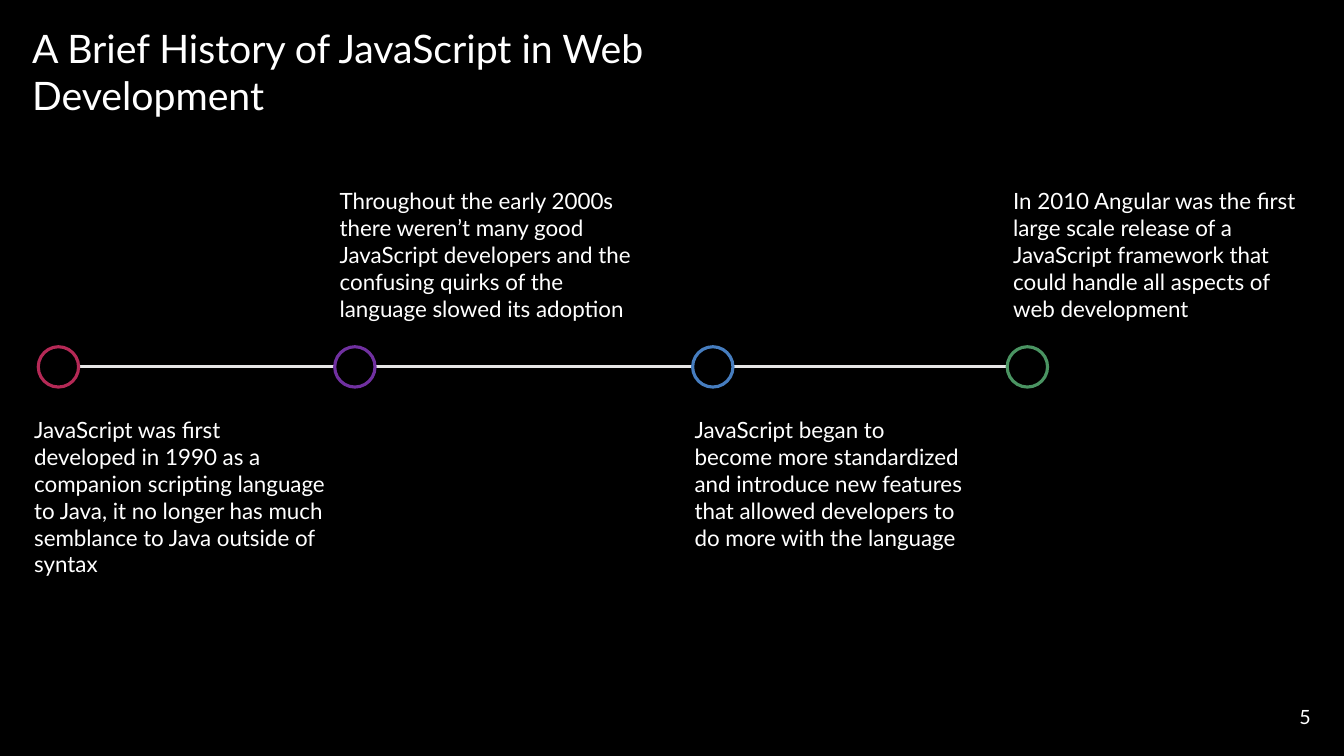
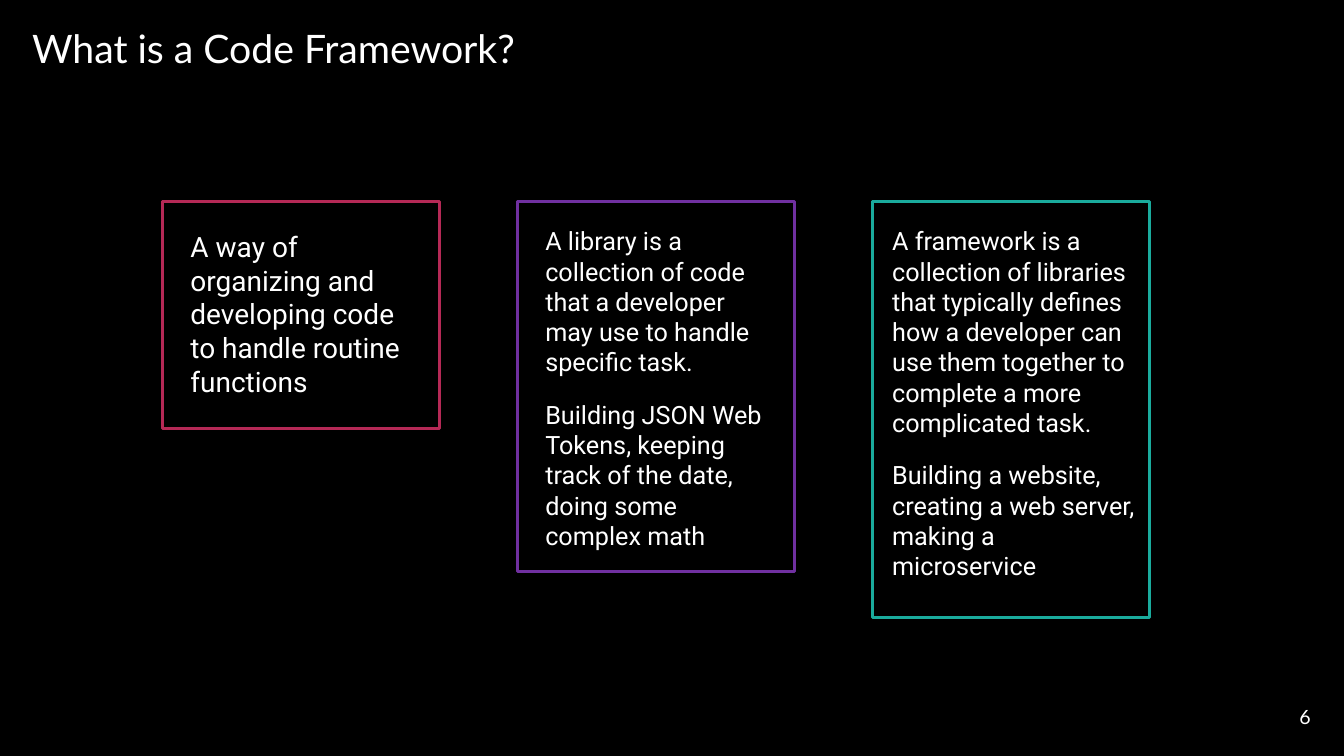
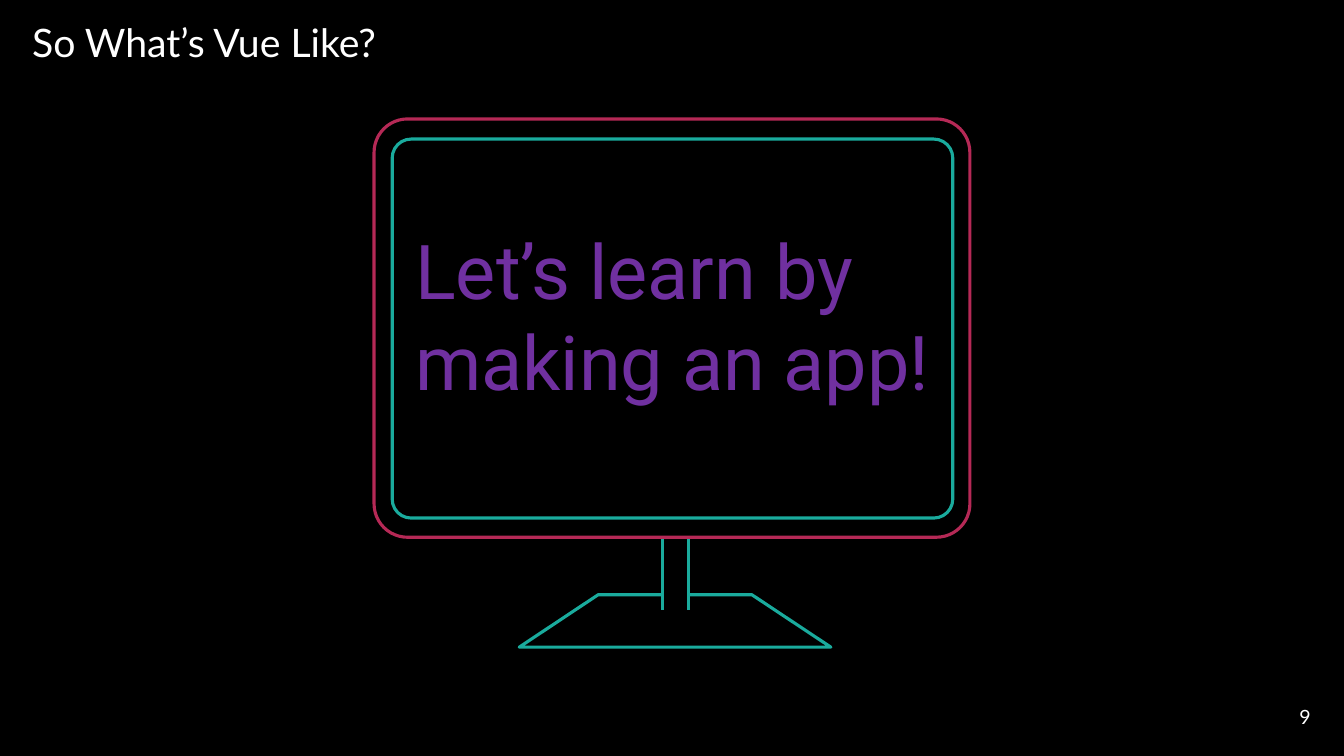
from itertools import pairwise

from lxml import etree
from pptx import Presentation
from pptx.dml.color import RGBColor
from pptx.enum import shapes, text
from pptx.oxml.ns import qn
from pptx.util import Inches, Pt

BLACK = RGBColor(0x00, 0x00, 0x00)
WHITE = RGBColor(0xFF, 0xFF, 0xFF)
GREY = RGBColor(0xE7, 0xE6, 0xE6)
RED = RGBColor(0xB5, 0x29, 0x56)
PURPLE = RGBColor(0x70, 0x30, 0xA0)
BLUE = RGBColor(0x46, 0x7D, 0xBF)
GREEN = RGBColor(0x4A, 0x94, 0x62)
TEAL = RGBColor(0x1A, 0xAB, 0x9D)

HEAD_FONT, BODY_FONT = "Lato", "Roboto"
LINE_WIDTH = Pt(2.25)
SHAPE = shapes.MSO_SHAPE

# Timeline: circle left, colour, text box (left, top, width, height), text
DOT, AXIS_Y = 0.4, 3.64
ABOVE, BELOW = 1.81, 4.08
MILESTONES = [
    (0.38, RED, (0.24, BELOW, 3.09, 1.72),
     "JavaScript was first developed in 1990 as a companion scripting language "
     "to Java, it no longer has much semblance to Java outside of syntax"),
    (3.32, PURPLE, (3.27, ABOVE, 3.19, 1.45),
     "Throughout the early 2000s there weren’t many good JavaScript developers "
     "and the confusing quirks of the language slowed its adoption"),
    (6.87, BLUE, (6.79, BELOW, 2.89, 1.45),
     "JavaScript began to become more standardized and introduce new features "
     "that allowed developers to do more with the language"),
    (9.99, GREEN, (9.95, ABOVE, 3.19, 1.45),
     "In 2010 Angular was the first large scale release of a JavaScript "
     "framework that could handle all aspects of web development"),
]

# Cards: colour, card height, text box, text size, paragraphs
CARD_LEFT, CARD_TOP, CARD_WIDTH, CARD_STEP = 1.61, 2, 2.75, 3.52
CARDS = [
    (RED, 2.25, (1.79, 2.23, 2.38, 1.78), 20,
     ["A way of organizing and developing code to handle routine functions"]),
    (PURPLE, 3.67, (5.31, 2.19, 2.48, 3.35), 18,
     ["A library is a collection of code that a developer may use to handle "
      "specific task.",
      "Building JSON Web Tokens, keeping track of the date, doing some complex math"]),
    (TEAL, 4.13, (8.75, 2.19, 2.65, 3.66), 18,
     ["A framework is a collection of libraries that typically defines how a "
      "developer can use them together to complete a more complicated task.",
      "Building a website, creating a web server, making a microservice"]),
]

# Monitor
SCREEN = (3.89, 1.38, 5.56, 3.76)
FRAME = (3.71, 1.18, 5.91, 4.15)
BASE = (5.15, 5.9, 3.09, 0.52)
NECK_LEFT, NECK_WIDTH, NECK_TOP, NECK_BOTTOM = 6.57, 0.26, 5.33, 6.05


def add_text(s, box, paragraphs, size, font=HEAD_FONT, color=WHITE, align=None, after=0):
    tf = s.shapes.add_textbox(*map(Inches, box)).text_frame
    tf.word_wrap = True
    tf.auto_size = text.MSO_AUTO_SIZE.SHAPE_TO_FIT_TEXT
    tf.text = "\n".join(paragraphs)
    for p in tf.paragraphs:
        p.alignment = align
        p.space_after = Pt(after)
        for r in p.runs:
            r.font.name, r.font.size = font, Pt(size)
            r.font.color.rgb = color


def add_outline(s, kind, box, line=None, fill=None, adjust=None):
    """Add a preset shape; without a line or fill colour that part is left clear."""
    sp = s.shapes.add_shape(kind, *map(Inches, box))
    sp.shadow.inherit = False
    if adjust is not None:
        sp.adjustments[0] = adjust
    if fill is None:
        sp.fill.background()
    else:
        sp.fill.solid()
        sp.fill.fore_color.rgb = fill
    if line is None:
        sp.line.fill.background()
    else:
        sp.line.color.rgb = line
        sp.line.width = LINE_WIDTH


def add_line(s, x1, y1, x2, y2, color):
    ends = map(Inches, (x1, y1, x2, y2))
    cxn = s.shapes.add_connector(shapes.MSO_CONNECTOR.STRAIGHT, *ends)
    cxn.line.color.rgb = color
    cxn.line.width = LINE_WIDTH
    etree.SubElement(cxn._element.spPr, qn("a:effectLst"))


def add_slide(prs, title, number, title_top=0.19):
    s = prs.slides.add_slide(prs.slide_layouts[6])
    s.background.fill.solid()
    s.background.fill.fore_color.rgb = BLACK
    add_text(s, (0.22, title_top, 8.52, 0.57), [title], 28)
    add_text(s, (12.76, 6.94, 0.37, 0.34), [str(number)], 14,
             align=text.PP_ALIGN.CENTER)
    return s


def build_timeline(prs):
    s = add_slide(prs, "A Brief History of JavaScript in Web Development", 5)
    centers = [left + DOT / 2 for left, *_ in MILESTONES]
    for start, end in pairwise(centers):
        add_line(s, start, AXIS_Y, end, AXIS_Y, GREY)
    for left, color, box, words in MILESTONES:
        add_outline(s, SHAPE.OVAL, (left, AXIS_Y - DOT / 2, DOT, DOT), color, BLACK)
        add_text(s, box, [words], 16)


def build_cards(prs):
    s = add_slide(prs, "What is a Code Framework?", 6)
    for i, (color, height, box, size, paragraphs) in enumerate(CARDS):
        left = CARD_LEFT + i * CARD_STEP
        add_outline(s, SHAPE.RECTANGLE, (left, CARD_TOP, CARD_WIDTH, height), color)
        add_text(s, box, paragraphs, size, BODY_FONT,
                 after=16 if len(paragraphs) > 1 else 0)


def build_monitor(prs):
    s = add_slide(prs, "So What’s Vue Like?", 9, title_top=0.13)
    add_text(s, (4.02, 2.17, 5.42, 1.92), ["Let’s learn by making an app!"], 54,
             BODY_FONT, PURPLE)
    add_outline(s, SHAPE.ROUNDED_RECTANGLE, SCREEN, TEAL, adjust=0.05)
    add_outline(s, SHAPE.TRAPEZOID, BASE, TEAL, adjust=1.505)
    add_outline(s, SHAPE.RECTANGLE, (NECK_LEFT, 5.66, NECK_WIDTH, 0.34), fill=BLACK)
    for x in (NECK_LEFT, NECK_LEFT + NECK_WIDTH):
        add_line(s, x, NECK_TOP, x, NECK_BOTTOM, TEAL)
    add_outline(s, SHAPE.ROUNDED_RECTANGLE, FRAME, RED, adjust=0.08)


def main():
    prs = Presentation()
    prs.slide_width, prs.slide_height = Inches(13.33), Inches(7.5)
    build_timeline(prs)
    build_cards(prs)
    build_monitor(prs)
    prs.save("out.pptx")


if __name__ == "__main__":
    main()
